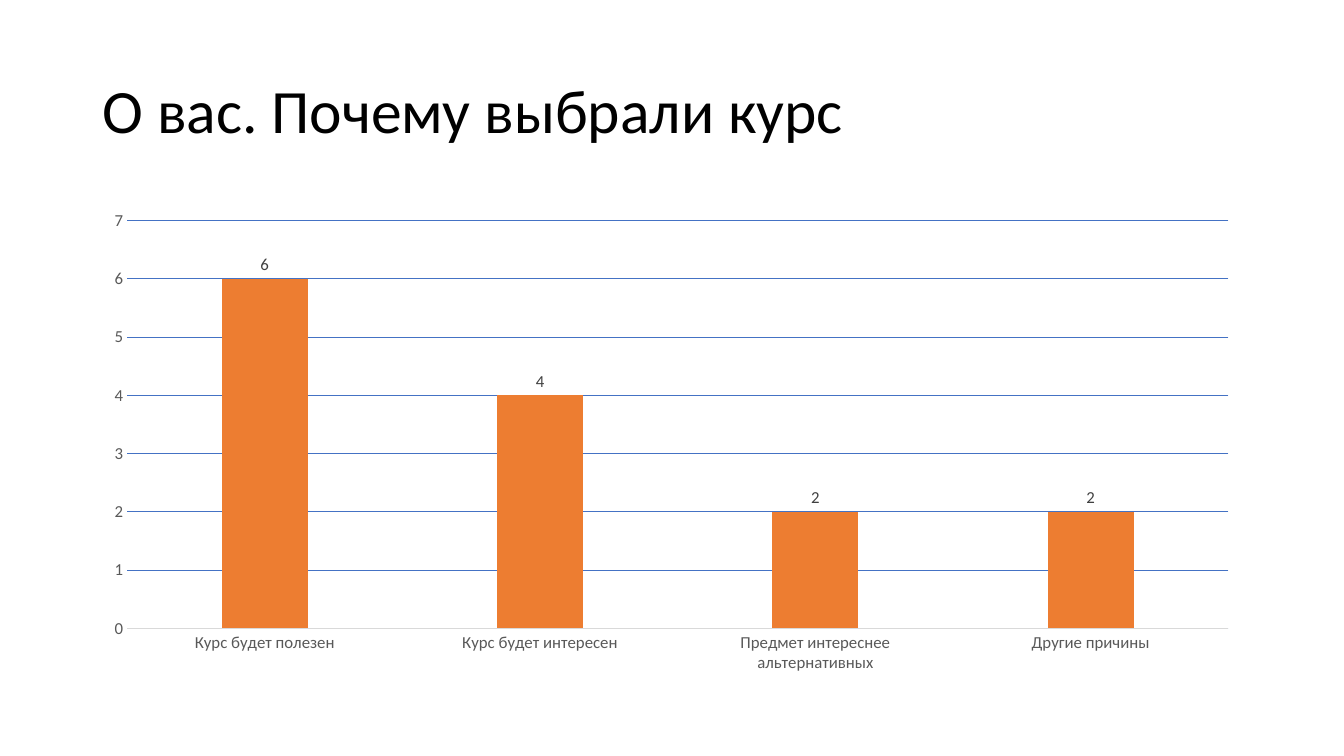
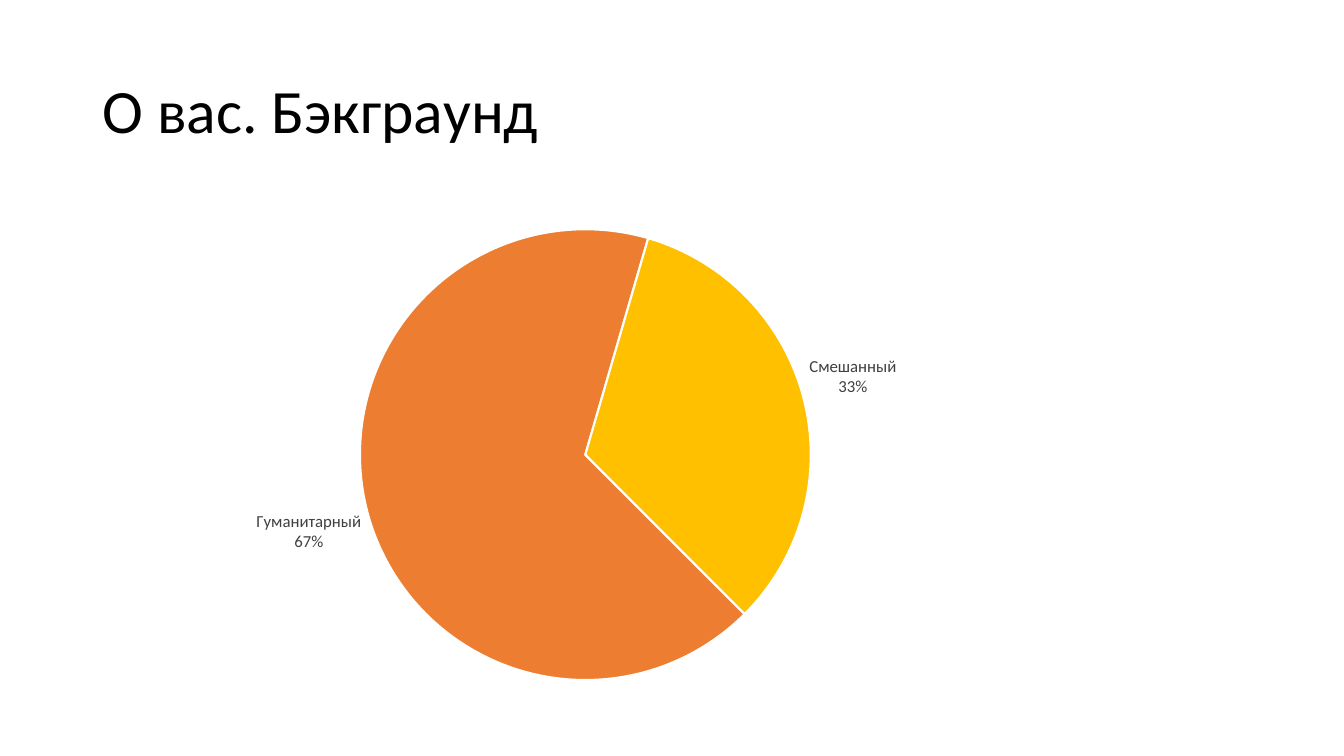
from dataclasses import dataclass

from lxml import etree
from pptx import Presentation
from pptx.chart.chart import Chart
from pptx.chart.data import CategoryChartData
from pptx.dml.color import RGBColor
from pptx.enum.chart import XL_CHART_TYPE, XL_LABEL_POSITION, XL_TICK_MARK
from pptx.enum.text import MSO_ANCHOR, PP_ALIGN
from pptx.oxml.ns import qn
from pptx.util import Pt

COLUMN = XL_CHART_TYPE.COLUMN_CLUSTERED
PIE = XL_CHART_TYPE.PIE
OUTSIDE_END = XL_LABEL_POSITION.OUTSIDE_END
NO_TICK = XL_TICK_MARK.NONE
MIDDLE = MSO_ANCHOR.MIDDLE
LEFT = PP_ALIGN.LEFT

FONT = "Calibri"
COLORS = {
    "title": "000000",
    "axis_text": "595959",
    "label": "404040",
    "axis_line": "D9D9D9",
    "grid": "4472C4",
    "orange": "ED7D31",
    "yellow": "FFC000",
    "white": "FFFFFF",
}
TITLE_ONLY = 5
TITLE_BOX = (66, 28.75, 828, 104.4)


@dataclass(frozen=True)
class SurveySlide:
    title: str
    kind: XL_CHART_TYPE
    box: tuple[float, float, float, float]
    plot: tuple[float, float, float, float]  # fractions of the chart box
    answers: dict[str, int]


SLIDES = [
    SurveySlide(
        "О вас. Почему выбрали курс", COLUMN, (66, 144, 828, 342.6),
        (0.03, 0.04, 0.95, 0.85),
        {"Курс будет полезен": 6, "Курс будет интересен": 4,
         "Предмет интереснее альтернативных": 2, "Другие причины": 2},
    ),
    SurveySlide(
        "О вас. Бэкграунд", PIE, (0, 153.5, 828, 342.6),
        (0.31, 0.03, 0.39, 0.94),
        {"Гуманитарный": 67, "Смешанный": 33},
    ),
]


def rgb(name: str) -> RGBColor:
    return RGBColor.from_string(COLORS[name])


def style_font(font, size: float, color: str) -> None:
    font.name = FONT
    font.size = Pt(size)
    font.color.rgb = rgb(color)


def write_text(shape, text: str, *, size: float, color: str,
               align=LEFT, anchor=MIDDLE, line_spacing: float = 1) -> None:
    frame = shape.text_frame
    frame.word_wrap = True
    frame.vertical_anchor = anchor
    paragraph = frame.paragraphs[0]
    paragraph.alignment = align
    paragraph.line_spacing = line_spacing
    run = paragraph.add_run()
    run.text = text
    style_font(run.font, size, color)


def place_plot(chart: Chart, fractions: tuple[float, ...]) -> None:
    """Fix the inner plot area inside the chart box."""
    area = chart.plots[0]._element.getparent()
    for automatic in area.findall(qn("c:layout")):
        area.remove(automatic)
    layout = etree.Element(qn("c:layout"))
    manual = etree.SubElement(layout, qn("c:manualLayout"))
    settings = [("layoutTarget", "inner"), ("xMode", "edge"), ("yMode", "edge")]
    settings += zip("xywh", map(str, fractions))
    for tag, value in settings:
        etree.SubElement(manual, qn(f"c:{tag}"), val=value)
    area.insert(0, layout)


def style_columns(chart: Chart) -> None:
    plot = chart.plots[0]
    plot.vary_by_categories = False
    plot.gap_width = 219
    plot.overlap = -27
    fill = plot.series[0].format.fill
    fill.solid()
    fill.fore_color.rgb = rgb("orange")

    reasons, votes = chart.category_axis, chart.value_axis
    for axis in (reasons, votes):
        axis.major_tick_mark = axis.minor_tick_mark = NO_TICK
        style_font(axis.tick_labels.font, 12, "axis_text")
    reasons.format.line.color.rgb = rgb("axis_line")
    reasons.format.line.width = Pt(0.75)
    votes.minimum_scale, votes.maximum_scale, votes.major_unit = 0, 7, 1
    votes.format.line.fill.background()
    votes.has_major_gridlines = True
    grid = votes.major_gridlines.format.line
    grid.color.rgb = rgb("grid")
    grid.width = Pt(0.75)


def style_pie(chart: Chart) -> None:
    plot = chart.plots[0]
    plot.vary_by_categories = True
    etree.SubElement(plot._element, qn("c:firstSliceAng"), val="135")
    series = plot.series[0]
    for index, color in enumerate(("orange", "yellow")):
        wedge = series.points[index].format
        wedge.fill.solid()
        wedge.fill.fore_color.rgb = rgb(color)
        wedge.line.color.rgb = rgb("white")
        wedge.line.width = Pt(1.5)


def label_answers(chart: Chart, as_share: bool) -> None:
    labels = chart.plots[0].series[0].data_labels
    labels.show_value = not as_share
    labels.show_percentage = labels.show_category_name = as_share
    labels.number_format = "0%" if as_share else "General"
    labels.number_format_is_linked = False
    labels.position = OUTSIDE_END
    style_font(labels.font, 12, "label")
    if as_share:
        separator = etree.Element(qn("c:separator"))
        separator.text = "\n"
        labels._element.find(qn("c:showBubbleSize")).addnext(separator)


def add_survey_slide(deck, survey: SurveySlide) -> None:
    slide = deck.slides.add_slide(deck.slide_layouts[TITLE_ONLY])
    title = slide.shapes.title
    title.left, title.top, title.width, title.height = map(Pt, TITLE_BOX)
    write_text(title, survey.title, size=44, color="title", line_spacing=0.9)

    data = CategoryChartData()
    data.categories = list(survey.answers)
    data.add_series("Series 1", list(survey.answers.values()))
    chart = slide.shapes.add_chart(survey.kind, *map(Pt, survey.box), data).chart
    chart.has_title = chart.has_legend = False
    style_font(chart.font, 10, "title")
    place_plot(chart, survey.plot)
    is_pie = survey.kind == PIE
    if is_pie:
        style_pie(chart)
    else:
        style_columns(chart)
    label_answers(chart, as_share=is_pie)


def main() -> None:
    deck = Presentation()
    deck.slide_width, deck.slide_height = Pt(960), Pt(540)
    for survey in SLIDES:
        add_survey_slide(deck, survey)
    deck.save("out.pptx")


if __name__ == "__main__":
    main()
